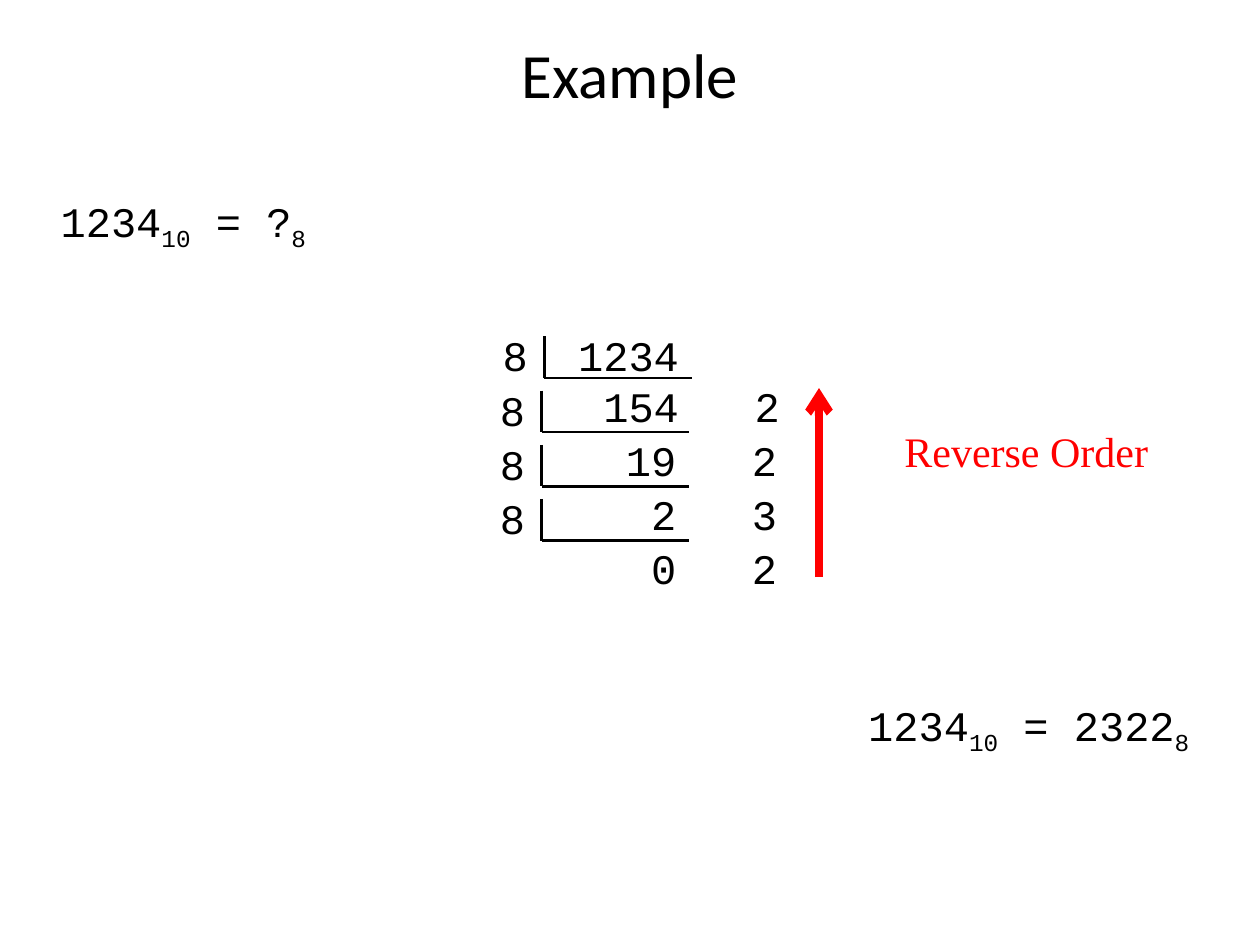
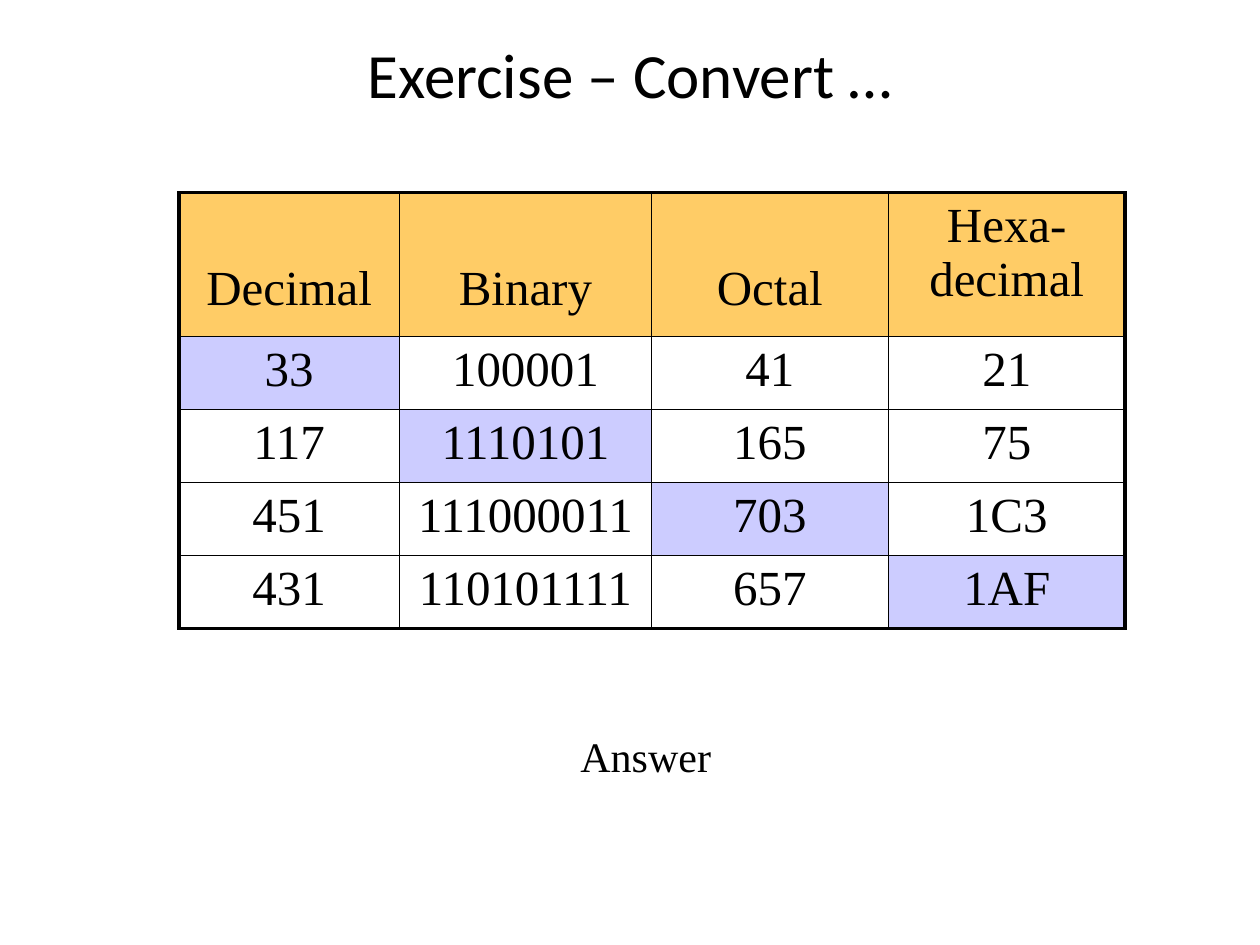
"""Build two slides on converting numbers between bases."""
from lxml import etree
from pptx import Presentation
from pptx.dml.color import RGBColor
from pptx.enum import shapes, text
from pptx.oxml import ns
from pptx.util import Inches, Pt

BLACK = RGBColor(0x00, 0x00, 0x00)
RED = RGBColor(0xFF, 0x00, 0x00)
HEADER_FILL = RGBColor(0xFF, 0xCC, 0x66)
GIVEN_FILL = RGBColor(0xCC, 0xCC, 0xFF)
TITLE_FONT, CODE_FONT, BODY_FONT = "Calibri", "Courier New", "Times New Roman"
LEFT, CENTER = text.PP_ALIGN.LEFT, text.PP_ALIGN.CENTER

EQUATIONS = [
    ((0.33, 1.5, 2.25, 0.5), ["1234", "10", " = ?", "8"]),
    ((6.58, 5.5, 3.17, 0.5), ["1234", "10", " = 2322", "8"]),
]
DIVISIONS = [
    ("8\t1234", "\t154\t2"),
    ("8", "\t19\t2"),
    ("8", "\t2\t3"),
    ("8", "\t0\t2"),
]
DIVISION_LEFT, DIVISION_TOP, DIVISION_PITCH = 3.89, 2.57, 0.43
DIVISION_TABS = [(1.4, "r"), (2.0, "l")]

COLUMN_WIDTHS = [1.75, 2, 1.88, 1.88]
ROW_HEIGHTS = [1.14] + [0.58] * 4
CONVERSIONS = [
    ("Decimal", "Binary", "Octal", "Hexa-\vdecimal"),
    ("33", "100001", "41", "21"),
    ("117", "1110101", "165", "75"),
    ("451", "111000011", "703", "1C3"),
    ("431", "110101111", "657", "1AF"),
]


def add_element(parent, tag, **attributes):
    return etree.SubElement(parent, ns.qn(tag), attributes)


def style(paragraph, font, size, color=BLACK, align=LEFT):
    paragraph.alignment = align
    paragraph.font.name = font
    paragraph.font.size = Pt(size)
    paragraph.font.color.rgb = color


def add_box(page, place, lines, font, size=24, color=BLACK, align=LEFT, tabs=()):
    box = page.shapes.add_textbox(*map(Inches, place))
    frame = box.text_frame
    frame.word_wrap = True
    for index, line in enumerate(lines):
        para = frame.add_paragraph() if index else frame.paragraphs[0]
        para.text = line
        if tabs:
            tab_list = add_element(para._p.get_or_add_pPr(), "a:tabLst")
            for position, side in tabs:
                add_element(tab_list, "a:tab", pos=str(Inches(position)), algn=side)
        style(para, font, size, color, align)
    return box


def add_page(deck, title):
    page = deck.slides.add_slide(deck.slide_layouts[6])
    box = add_box(page, (0.75, 0.17, 8.5, 0.83), [title], TITLE_FONT, 36, align=CENTER)
    box.text_frame.vertical_anchor = text.MSO_ANCHOR.MIDDLE
    return page


def add_equation(page, place, parts):
    box = add_box(page, place, [""], CODE_FONT, align=CENTER)
    for index, part in enumerate(parts):
        span = box.text_frame.paragraphs[0].add_run()
        span.text = part
        if index % 2:
            span._r.get_or_add_rPr().set("baseline", "-25000")


def add_line(page, start, end, color=BLACK, width=1.5, arrow=False):
    line = page.shapes.add_connector(
        shapes.MSO_CONNECTOR.STRAIGHT, *map(Inches, (*start, *end)))
    line.line.color.rgb = color
    line.line.width = Pt(width)
    if arrow:
        add_element(line.line._get_or_add_ln(), "a:tailEnd", type="arrow")
    add_element(line._element.spPr, "a:effectLst")


def add_division(page, step, lines):
    left = DIVISION_LEFT - (0.02 if step else 0)
    top = DIVISION_TOP + step * DIVISION_PITCH
    add_box(page, (left, top, 2.5, 0.9), lines, CODE_FONT, tabs=DIVISION_TABS)
    corner = (left + 0.43, top + 0.43)
    add_line(page, (corner[0], top + 0.1), corner)
    add_line(page, corner, (corner[0] + 1.17, corner[1]))


def set_border(cell, side, width):
    border = add_element(cell._tc.get_or_add_tcPr(), f"a:ln{side}", w=str(Pt(width)))
    fill = add_element(border, "a:solidFill")
    add_element(fill, "a:srgbClr", val=str(BLACK))


def fill_cell(cell, row, column, value):
    last_row, last_column = len(ROW_HEIGHTS) - 1, len(COLUMN_WIDTHS) - 1
    outer = {"L": column == 0, "R": column == last_column,
             "T": row == 0, "B": row == last_row}
    for side, is_outer in outer.items():
        set_border(cell, side, 2.25 if is_outer else 1)
    if row == 0 or row == column + 1:
        cell.fill.solid()
        cell.fill.fore_color.rgb = GIVEN_FILL if row else HEADER_FILL
    else:
        cell.fill.background()
    if row == 0 and column < last_column:
        cell.vertical_anchor = text.MSO_ANCHOR.BOTTOM
        cell.margin_bottom = Inches(0.16)
    cell.text = value
    style(cell.text_frame.paragraphs[0], BODY_FONT, 28, align=CENTER)


def add_conversion_table(page):
    place = (1.42, 1.53, sum(COLUMN_WIDTHS), sum(ROW_HEIGHTS))
    table = page.shapes.add_table(
        len(ROW_HEIGHTS), len(COLUMN_WIDTHS), *map(Inches, place)).table
    table.first_row = table.horz_banding = False
    for column, width in zip(table.columns, COLUMN_WIDTHS):
        column.width = Inches(width)
    for row, height in zip(table.rows, ROW_HEIGHTS):
        row.height = Inches(height)
    for row, values in enumerate(CONVERSIONS):
        for column, value in enumerate(values):
            fill_cell(table.cell(row, column), row, column, value)


def main():
    deck = Presentation()
    deck.slide_width, deck.slide_height = Inches(10), Inches(7.5)

    example = add_page(deck, "Example")
    for place, parts in EQUATIONS:
        add_equation(example, place, parts)
    for step, lines in enumerate(DIVISIONS):
        add_division(example, step, lines)
    add_line(example, (6.5, 4.58), (6.5, 3.08), RED, 4.5, arrow=True)
    add_box(example, (7.08, 3.33, 2.67, 0.51), ["Reverse Order"], BODY_FONT, color=RED)

    exercise = add_page(deck, "Exercise – Convert …")
    add_conversion_table(exercise)
    add_box(exercise, (3.96, 5.75, 2.33, 0.51), ["Answer"], BODY_FONT, align=CENTER)

    deck.save("out.pptx")


if __name__ == "__main__":
    main()
